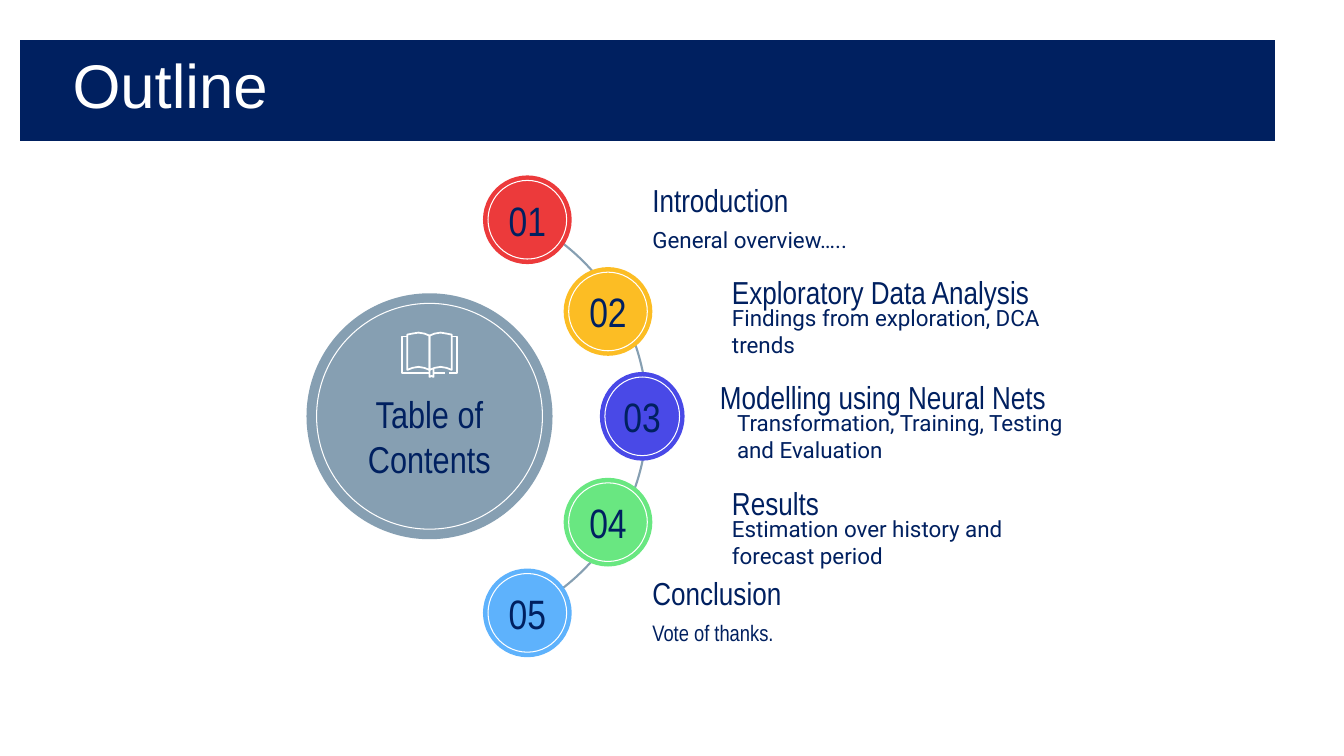
import pptx
import pptx.util
import pptx.dml.color
import pptx.enum.shapes
import pptx.enum.text

Inches = pptx.util.Inches
Pt = pptx.util.Pt
SHAPE = pptx.enum.shapes.MSO_SHAPE
ALIGN = pptx.enum.text.PP_ALIGN
NAVY, WHITE, SLATE = "002060", "FFFFFF", "869FB2"


def color(code):
    return pptx.dml.color.RGBColor.from_string(code)


def write(box, text, size, font="Arial Narrow", ink=NAVY, align=ALIGN.LEFT,
          wrap=True, margin=0.13, top=0.13):
    frame = box.text_frame
    frame.word_wrap = wrap
    frame.vertical_anchor = pptx.enum.text.MSO_ANCHOR.MIDDLE
    frame.margin_left = frame.margin_right = frame.margin_bottom = Inches(margin)
    frame.margin_top = Inches(top)
    para = frame.paragraphs[0]
    para.text = text
    para.alignment = align
    for span in para.runs:
        span.font.size = Pt(size)
        span.font.name = font
        span.font.color.rgb = color(ink)


deck = pptx.Presentation()
deck.slide_width, deck.slide_height = Inches(13.33), Inches(7.5)
page = deck.slides.add_slide(deck.slide_layouts[6])

# Arc behind the numbered discs; adjustments hold 0.6 per degree
arc = page.shapes.add_shape(SHAPE.ARC, Inches(2.09), Inches(1.96), Inches(4.33), Inches(4.33))
arc.adjustments[0] = 296.9 * 0.6
arc.adjustments[1] = 64.1 * 0.6
arc.shadow.inherit = False
arc.fill.background()
arc.line.color.rgb = color(SLATE)
arc.line.width = Pt(1.5)

# Hub and numbered discs, each with a thin white ring inside:
# centre x, centre y, width, height, ring gap, fill, text, text format
number = dict(size=29.3, wrap=False)
hub = dict(size=26.7, top=0.53)
discs = [
    (4.26, 4.13, 2.44, 2.44, 0.1, SLATE, "Table of\nContents", hub),
    (5.23, 2.18, 0.88, 0.88, 0.05, "EC3A3B", "01", number),
    (6.03, 3.09, 0.88, 0.88, 0.05, "FCBD24", "02", number),
    (6.37, 4.13, 0.84, 0.88, 0.05, "4949E7", "03", number),
    (6.03, 5.18, 0.88, 0.88, 0.05, "69E781", "04", number),
    (5.23, 6.08, 0.88, 0.88, 0.05, "5EB2FC", "05", number),
]
for x, y, width, height, gap, fill, label, style in discs:
    for inset in (0, gap):
        disc = page.shapes.add_shape(
            SHAPE.OVAL, Inches(x - width / 2 + inset), Inches(y - height / 2 + inset),
            Inches(width - 2 * inset), Inches(height - 2 * inset))
        disc.shadow.inherit = False
        if inset:
            disc.fill.background()
            disc.line.color.rgb = color(WHITE)
            disc.line.width = Pt(0.75)
            write(disc, label, align=ALIGN.CENTER, **style)
        else:
            disc.fill.solid()
            disc.fill.fore_color.rgb = color(fill)
            disc.line.fill.background()

# Open book icon: the right page mirrors the left one about the spine
spine = 4.26
left_page = [(4.04, 3.67), (4.04, 3.32), (4.09, 3.31), (4.15, 3.3), (4.21, 3.31), (4.26, 3.33),
             (4.26, 3.67), (4.21, 3.65), (4.15, 3.64), (4.09, 3.65), (4.04, 3.67)]
strokes = [
    left_page,
    [(2 * spine - x, y) for x, y in left_page],
    [(4.04, 3.34), (3.99, 3.34), (3.99, 3.7), (4.26, 3.7)],
    [(4.48, 3.34), (4.53, 3.34), (4.53, 3.7), (4.45, 3.7)],
    [(4.41, 3.7), (4.3, 3.7)],
    [(4.26, 3.67), (4.26, 3.74), (4.28, 3.73), (4.3, 3.74), (4.3, 3.66)],
]
strokes = [[(Inches(x), Inches(y)) for x, y in stroke] for stroke in strokes]
builder = page.shapes.build_freeform(*strokes[0][0])
for stroke in strokes:
    if stroke is not strokes[0]:
        builder.move_to(*stroke[0])
    builder.add_line_segments(stroke[1:], close=False)
book = builder.convert_to_shape()
book.shadow.inherit = False
book.fill.background()
book.line.color.rgb = color(WHITE)
book.line.width = Pt(1.25)

# Headings and details: disc centre y, heading left, detail left, right edge
entries = [
    (2.18, 6.34, 6.34, 10.13, "Introduction", "General overview…..", "Roboto"),
    (3.09, 7.13, 7.13, 10.92, "Exploratory Data Analysis",
     "Findings from exploration, DCA trends", "Roboto"),
    (4.13, 7.01, 7.18, 11.07, "Modelling using Neural Nets",
     "Transformation, Training, Testing and Evaluation", "Roboto"),
    (5.18, 7.13, 7.13, 10.92, "Results",
     "Estimation over history and forecast period", "Roboto"),
    (6.08, 6.34, 6.34, 10.13, "Conclusion", "Vote of thanks.", "Arial Narrow"),
]
for y, heading_left, detail_left, right, heading, detail, detail_font in entries:
    for left, top, text, size, font in (
            (detail_left, y - 0.07, detail, 16, detail_font),
            (heading_left, y - 0.46, heading, 22.7, "Arial Narrow")):
        box = page.shapes.add_textbox(Inches(left), Inches(top), Inches(right - left), Inches(0.53))
        write(box, text, size, font=font)

# Title band
band = page.shapes.add_shape(SHAPE.RECTANGLE, Inches(0.18), Inches(0.38), Inches(12.48), Inches(1.03))
band.shadow.inherit = False
band.fill.solid()
band.fill.fore_color.rgb = color(NAVY)
band.line.color.rgb = color(WHITE)
band.line.width = Pt(2)
title = page.shapes.add_textbox(Inches(0.59), Inches(0.39), Inches(11.26), Inches(0.89))
write(title, "Outline", 44, font="Arial", ink=WHITE)

deck.save("out.pptx")
